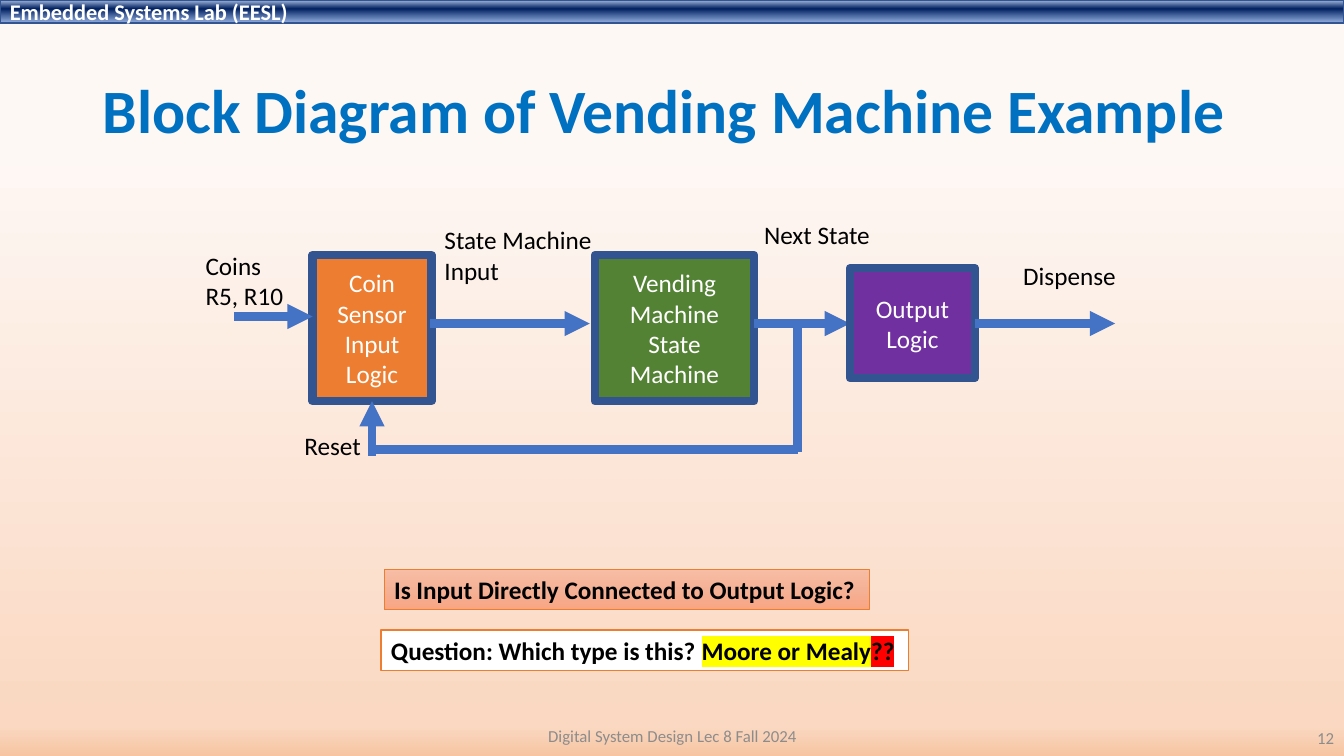
from lxml import etree
from pptx import Presentation
from pptx.dml.color import RGBColor
from pptx.enum.shapes import MSO_CONNECTOR, MSO_SHAPE
from pptx.enum.text import MSO_ANCHOR, MSO_AUTO_SIZE, PP_ALIGN
from pptx.oxml.ns import qn
from pptx.util import Inches, Pt

COLORS = {
    "title": "0070C0", "white": "FFFFFF", "black": "000000", "grey": "8C8C8C",
    "arrow": "4472C4", "border": "325491", "orange": "ED7D31",
    "green": "548235", "purple": "7030A0", "yellow": "FFFF00", "red": "FF0000",
}
BACKGROUND = [(19, "FEF8F5", 97), (96, "FAD8C1", 100), (100, "F7C5A2", 100)]
HEADER = [(2, "ABC0E4", 100), (38, "002060", 100), (93, "7E9ED6", 87)]
PEACH = [(0, "F7BDA5", 100), (50, "F5B196", 100), (100, "F8A582", 100)]


def rgb(name):
    return RGBColor.from_string(COLORS[name])


class DiagramSlide:
    font = "Calibri"

    def __init__(self, prs):
        self.s = prs.slides.add_slide(prs.slide_layouts[6])
        self.gradient(self.s.background.fill, self.s._element, BACKGROUND)

    def gradient(self, fill, element, stops):
        fill.gradient()
        fill.gradient_angle = 270
        gs_list = next(element.iter(qn("a:gsLst")))
        for gs in list(gs_list):
            gs_list.remove(gs)
        for pos, color, alpha in stops:
            gs = etree.SubElement(gs_list, qn("a:gs"), pos=str(pos * 1000))
            clr = etree.SubElement(gs, qn("a:srgbClr"), val=color)
            if alpha < 100:
                etree.SubElement(clr, qn("a:alpha"), val=str(alpha * 1000))

    def fill_text(self, sp, lines, size=18, color="black", bold=False, align=PP_ALIGN.LEFT,
                  anchor=MSO_ANCHOR.TOP, wrap=False, spacing=None):
        tf = sp.text_frame
        tf.word_wrap = wrap
        tf.auto_size = MSO_AUTO_SIZE.NONE if wrap else MSO_AUTO_SIZE.SHAPE_TO_FIT_TEXT
        tf.vertical_anchor = anchor
        for i, line in enumerate(lines):
            p = tf.add_paragraph() if i else tf.paragraphs[0]
            p.alignment = align
            if spacing:
                p.line_spacing = spacing
            for text, highlight in [(line, None)] if isinstance(line, str) else line:
                r = p.add_run()
                r.text = text
                r.font.size = Pt(size)
                r.font.bold = bold
                r.font.color.rgb = rgb(color)
                r.font.name = self.font
                if highlight:
                    mark = etree.Element(qn("a:highlight"))
                    etree.SubElement(mark, qn("a:srgbClr"), val=COLORS[highlight])
                    r.font._element.find(qn("a:solidFill")).addnext(mark)

    def text(self, box, lines, **style):
        sp = self.s.shapes.add_textbox(*map(Inches, box))
        self.fill_text(sp, lines, **style)

    def rect(self, box, lines, fill, border, width, **style):
        sp = self.s.shapes.add_shape(MSO_SHAPE.RECTANGLE, *map(Inches, box))
        sp.shadow.inherit = False
        if isinstance(fill, list):
            self.gradient(sp.fill, sp._element, fill)
        else:
            sp.fill.solid()
            sp.fill.fore_color.rgb = rgb(fill)
        sp.line.color.rgb = rgb(border)
        sp.line.width = Pt(width)
        self.fill_text(sp, lines, **style)

    def block(self, box, lines, fill):
        self.rect(box, lines, fill, "border", 6, color="white", wrap=True,
                  align=PP_ALIGN.CENTER, anchor=MSO_ANCHOR.MIDDLE)

    def line(self, x1, y1, x2, y2, arrow=True):
        cn = self.s.shapes.add_connector(
            MSO_CONNECTOR.STRAIGHT, *map(Inches, (x1, y1, x2, y2)))
        cn.line.color.rgb = rgb("arrow")
        cn.line.width = Pt(6)
        props = cn._element.spPr
        if arrow:
            etree.SubElement(props.find(qn("a:ln")), qn("a:tailEnd"), type="triangle")
        etree.SubElement(props, qn("a:effectLst"))


def main():
    prs = Presentation()
    prs.slide_width = Inches(13.33)
    prs.slide_height = Inches(7.5)
    slide = DiagramSlide(prs)

    slide.rect((0, 0, 13.33, 0.23), ["Embedded Systems Lab (EESL)"], HEADER, "border", 1,
               size=16, color="white", bold=True, wrap=True, anchor=MSO_ANCHOR.MIDDLE)
    slide.text((0.92, 0.4, 11.5, 1.45), ["Block Diagram of Vending Machine Example"],
               size=44, color="title", bold=True, wrap=True,
               anchor=MSO_ANCHOR.MIDDLE, spacing=0.9)

    flow_y, feedback_y = 3.21, 4.46
    branch_x, reset_x = 7.91, 3.69
    slide.block((3.1, 2.53, 1.18, 1.45), ["Coin", "Sensor", "Input Logic"], "orange")
    slide.line(4.27, flow_y, 5.85, flow_y)
    slide.block((5.9, 2.53, 1.58, 1.45), ["Vending", "Machine", "State Machine"], "green")
    slide.line(7.48, flow_y, 8.43, flow_y)
    slide.block((8.43, 2.66, 1.24, 1.09), ["Output", "Logic"], "purple")
    slide.line(9.67, flow_y, 11.06, flow_y)
    slide.line(2.32, 3.14, 3.1, 3.14)
    slide.line(branch_x, flow_y, branch_x, 4.48, arrow=False)
    slide.line(branch_x, feedback_y, reset_x, feedback_y, arrow=False)
    slide.line(reset_x, 4.52, reset_x, 3.98)

    for box, lines in [
        ((2.92, 4.22, 0.77, 0.4), ["Reset"]),
        ((1.94, 2.43, 0.98, 0.71), ["Coins", "R5, R10"]),
        ((4.31, 2.18, 1.68, 0.71), ["State Machine", "Input"]),
        ((7.48, 2.13, 1.26, 0.4), ["Next State"]),
        ((10.05, 2.53, 1.13, 0.4), ["Dispense"]),
    ]:
        slide.text(box, lines)

    question = [("Question: Which type is this? ", None),
                ("Moore or Mealy", "yellow"), ("??", "red")]
    slide.rect((3.78, 6.25, 5.23, 0.4), [question], "white", "orange", 1, bold=True)
    slide.rect((3.81, 5.65, 4.81, 0.4), ["Is Input Directly Connected to Output Logic?"],
               PEACH, "orange", 0.5, bold=True)

    for box, text, align in [
        ((4.42, 7.1, 4.5, 0.4), "Digital System Design Lec 8 Fall 2024", PP_ALIGN.CENTER),
        ((10.33, 7.12, 3, 0.4), "12", PP_ALIGN.RIGHT),
    ]:
        slide.text(box, [text], size=12, color="grey", wrap=True, align=align,
                   anchor=MSO_ANCHOR.MIDDLE)

    prs.save("out.pptx")


if __name__ == "__main__":
    main()
